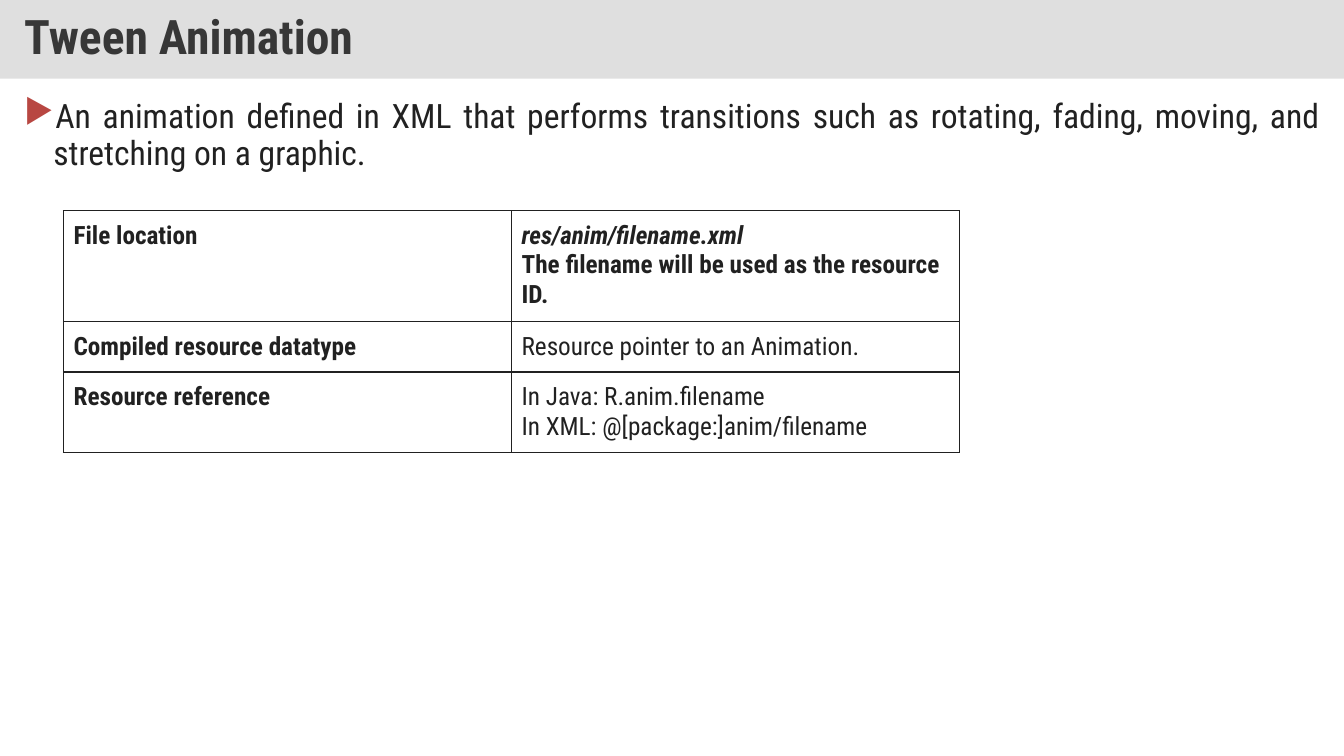
"""Build the Tween Animation slide with its title bar, summary and resource table."""
from lxml import etree
from pptx import Presentation
from pptx import util as u
from pptx.dml.color import RGBColor
from pptx.enum import shapes, text
from pptx.oxml import ns

FONT = "Roboto Condensed"
BAR_GRAY = RGBColor(0xC0, 0xC0, 0xC0)
TITLE_GRAY = RGBColor(0x37, 0x37, 0x37)
INK = RGBColor(0x21, 0x21, 0x21)
BULLET_RED = RGBColor(0xB8, 0x47, 0x42)
WIDTH, HEIGHT = u.Inches(13.33), u.Inches(7.5)
ROW_HEIGHTS = (1.08, 0.49, 0.79)
RESOURCE_ROWS = (
    (
        [("File location", True, False)],
        [("res/anim/filename.xml", True, True),
         ("The filename will be used as the resource ID.", True, False)],
    ),
    (
        [("Compiled resource datatype", True, False)],
        [("Resource pointer to an Animation.", False, False)],
    ),
    (
        [("Resource reference", True, False)],
        [("In Java: R.anim.filename", False, False),
         ("In XML: @[package:]anim/filename", False, False)],
    ),
)


def add_element(parent, tag, **attributes):
    return etree.SubElement(parent, ns.qn(tag), **attributes)


def add_span(para, words, size, color, bold=False, italic=False):
    span = para.add_run()
    span.text = words
    span.font.name = FONT
    span.font.size = u.Pt(size)
    span.font.color.rgb = color
    span.font.bold = bold
    span.font.italic = italic


def set_margins(holder, across, down):
    holder.margin_left = holder.margin_right = u.Inches(across)
    holder.margin_top = holder.margin_bottom = u.Inches(down)


def add_title_bar(page, words):
    bar = page.shapes.add_shape(
        shapes.MSO_SHAPE.RECTANGLE, 0, 0, WIDTH, u.Inches(0.78))
    bar.shadow.inherit = False
    bar.line.fill.background()
    bar.fill.solid()
    bar.fill.fore_color.rgb = BAR_GRAY
    color = bar.fill._xPr.find(".//" + ns.qn("a:srgbClr"))
    add_element(color, "a:alpha", val="50000")
    frame = bar.text_frame
    frame.word_wrap = True
    frame.vertical_anchor = text.MSO_ANCHOR.MIDDLE
    set_margins(frame, 0.24, 0.12)
    para = frame.paragraphs[0]
    para.alignment = text.PP_ALIGN.LEFT
    para.line_spacing = 0.9
    add_span(para, words, 34, TITLE_GRAY, bold=True)


def add_summary(page, words):
    box = page.shapes.add_textbox(
        u.Inches(0.14), u.Inches(0.94), u.Inches(13.05), u.Inches(6.11))
    box.text_frame.word_wrap = True
    para = box.text_frame.paragraphs[0]
    properties = para._p.get_or_add_pPr()
    properties.set("marL", str(u.Inches(0.29)))
    properties.set("indent", str(-u.Inches(0.29)))
    color = add_element(properties, "a:buClr")
    add_element(color, "a:srgbClr", val=str(BULLET_RED))
    add_element(properties, "a:buChar", char="▶")
    para.alignment = text.PP_ALIGN.JUSTIFY
    para.line_spacing = 0.9
    add_span(para, words, 24, INK)


def add_borders(cell):
    properties = cell._tc.get_or_add_tcPr()
    for position, side in enumerate(("a:lnL", "a:lnR", "a:lnT", "a:lnB")):
        line = etree.Element(ns.qn(side), w=str(u.Pt(1)))
        fill = add_element(line, "a:solidFill")
        add_element(fill, "a:srgbClr", val=str(INK))
        properties.insert(position, line)


def fill_cell(cell, lines):
    cell.fill.background()
    add_borders(cell)
    set_margins(cell, 0.1, 0.1)
    frame = cell.text_frame
    for position, (words, bold, italic) in enumerate(lines):
        para = frame.add_paragraph() if position else frame.paragraphs[0]
        add_span(para, words, 18, INK, bold, italic)


def add_resource_table(page):
    table = page.shapes.add_table(
        len(RESOURCE_ROWS), 2, u.Inches(0.63), u.Inches(2.09),
        WIDTH * 2 // 3, u.Inches(sum(ROW_HEIGHTS))).table
    table.first_row = table.horz_banding = False
    for row, height, contents in zip(table.rows, ROW_HEIGHTS, RESOURCE_ROWS):
        row.height = u.Inches(height)
        for cell, lines in zip(row.cells, contents):
            fill_cell(cell, lines)


def main():
    deck = Presentation()
    deck.slide_width, deck.slide_height = WIDTH, HEIGHT
    page = deck.slides.add_slide(deck.slide_layouts[6])
    add_title_bar(page, "Tween Animation")
    add_summary(page, "An animation defined in XML that performs transitions such as "
                      "rotating, fading, moving, and stretching on a graphic.")
    add_resource_table(page)
    deck.save("out.pptx")


if __name__ == "__main__":
    main()
